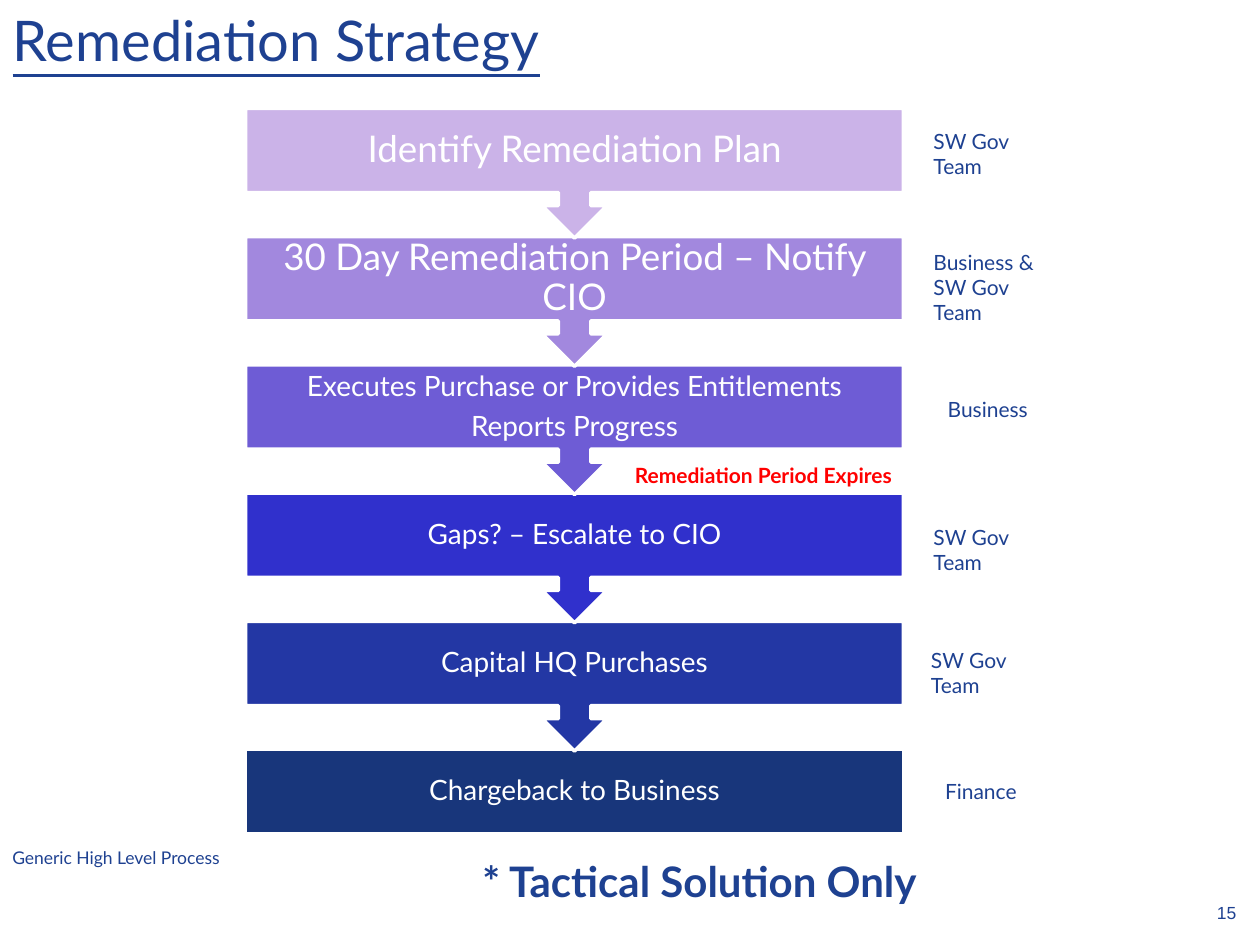
from dataclasses import dataclass

from pptx import Presentation
from pptx import util as u
from pptx.dml.color import RGBColor
from pptx.enum import shapes, text

WIDTH, HEIGHT = 10, 7.5
NAVY, WHITE, RED = "1E4191", "FFFFFF", "FF0000"

# Process column: six rows at an equal pitch
LEFT, BAR_WIDTH = 1.95, 5.22
FIRST_TOP, LAST_TOP = 0.86, 5.95
BAR_HEIGHT, CALLOUT_HEIGHT = 0.67, 1.03


@dataclass
class Owner:
    lines: list[str]
    left: float
    drop: float  # distance below the top of its row
    width: float
    height: float = 0.3
    wrap: bool = True
    align: text.PP_ALIGN = text.PP_ALIGN.LEFT


@dataclass
class Step:
    lines: list[str]
    fill: str
    size: int
    inset: float
    owner: Owner


@dataclass
class Label:
    line: str
    left: float
    top: float
    width: float
    height: float
    size: int
    color: str = NAVY
    bold: bool = False
    font: str = "Lato"


TEAM = "SW Gov Team"
CENTER = text.PP_ALIGN.CENTER
STEPS = [
    Step(["Identify Remediation Plan"], "CBB3E8", 21, 0.16,
         Owner([TEAM], 7.31, 0.11, 1.15)),
    Step(["30 Day Remediation Period – Notify CIO"], "A288DE", 21, 0.16,
         Owner(["Business &", TEAM], 7.31, 0.05, 1.15, 0.51)),
    Step(["Executes Purchase or Provides Entitlements", "Reports Progress"],
         "6E5CD5", 16, 0.12,
         Owner(["Business"], 7.42, 0.2, 0.84, wrap=False, align=CENTER)),
    Step(["Gaps? – Escalate to CIO"], "3030CC", 16, 0.12,
         Owner([TEAM], 7.31, 0.2, 1.15)),
    Step(["Capital HQ Purchases"], "2337A4", 16, 0.12,
         Owner([TEAM], 7.29, 0.16, 1.15)),
    Step(["Chargeback to Business"], "18367B", 16, 0.12,
         Owner(["Finance"], 7.4, 0.18, 0.77, wrap=False, align=CENTER)),
]
LABELS = [
    Label("* Tactical Solution Only", 3.73, 6.74, 3.73, 0.51, 24, bold=True),
    Label("Remediation Period Expires", 4.94, 3.62, 2.29, 0.3, 12, RED, True),
    Label("Generic High Level Process", 0, 6.67, 2.47, 0.27, 10),
    Label("15", 9.56, 7.11, 0.37, 0.27, 10, font="Arial"),
]


def rgb(value: str) -> RGBColor:
    return RGBColor.from_string(value)


def set_insets(frame, inset: float) -> None:
    frame.margin_left = frame.margin_right = u.Inches(inset)
    frame.margin_top = frame.margin_bottom = u.Inches(inset)


def write(frame, lines: list[str], size: int, color: str = NAVY,
          align=text.PP_ALIGN.LEFT, bold: bool = False, font: str = "Lato") -> None:
    frame.text = "\n".join(lines)
    for para in frame.paragraphs:
        para.alignment = align
        for span in para.runs:
            span.font.name = font
            span.font.size = u.Pt(size)
            span.font.bold = bold
            span.font.color.rgb = rgb(color)


def add_box(page, left: float, top: float, width: float, height: float,
            wrap: bool = False):
    box = page.shapes.add_textbox(*map(u.Inches, (left, top, width, height)))
    box.text_frame.word_wrap = wrap
    return box.text_frame


def add_title(page, line: str) -> None:
    frame = add_box(page, 0.1, 0.1, 9.25, 1.09, wrap=True)
    set_insets(frame, 0)
    write(frame, [line], 32)
    para = frame.paragraphs[0]
    para.line_spacing = 0.9
    para.runs[0].font.underline = True


def add_step(page, step: Step, top: float, last: bool) -> None:
    kinds = shapes.MSO_SHAPE
    kind = kinds.RECTANGLE if last else kinds.DOWN_ARROW_CALLOUT
    height = BAR_HEIGHT if last else CALLOUT_HEIGHT
    bar = page.shapes.add_shape(
        kind, *map(u.Inches, (LEFT, top, BAR_WIDTH, height)))
    bar.shadow.inherit = False
    bar.fill.solid()
    bar.fill.fore_color.rgb = rgb(step.fill)
    bar.line.color.rgb = rgb(WHITE)
    bar.line.width = u.Pt(2)

    frame = bar.text_frame
    frame.word_wrap = True
    frame.vertical_anchor = text.MSO_ANCHOR.MIDDLE
    set_insets(frame, step.inset)
    write(frame, step.lines, step.size, WHITE, CENTER)
    for para in frame.paragraphs:
        para.line_spacing = 0.9
        para.space_after = u.Pt(0.35 * step.size)


def add_owner(page, owner: Owner, row_top: float) -> None:
    frame = add_box(page, owner.left, row_top + owner.drop,
                    owner.width, owner.height, owner.wrap)
    write(frame, owner.lines, 12, align=owner.align)


def add_label(page, label: Label) -> None:
    frame = add_box(page, label.left, label.top, label.width, label.height)
    write(frame, [label.line], label.size, label.color,
          bold=label.bold, font=label.font)


def main() -> None:
    deck = Presentation()
    deck.slide_width, deck.slide_height = u.Inches(WIDTH), u.Inches(HEIGHT)
    page = deck.slides.add_slide(deck.slide_layouts[6])
    add_title(page, "Remediation Strategy")

    # Bars from the bottom up, so each arrow tip lies over the next bar
    final = len(STEPS) - 1
    pitch = (LAST_TOP - FIRST_TOP) / final
    tops = [FIRST_TOP + row * pitch for row in range(len(STEPS))]
    for row in reversed(range(len(STEPS))):
        add_step(page, STEPS[row], tops[row], row == final)

    # Owners beside the bars, then the free labels
    for step, top in zip(STEPS, tops):
        add_owner(page, step.owner, top)
    for label in LABELS:
        add_label(page, label)
    deck.save("out.pptx")


if __name__ == "__main__":
    main()
